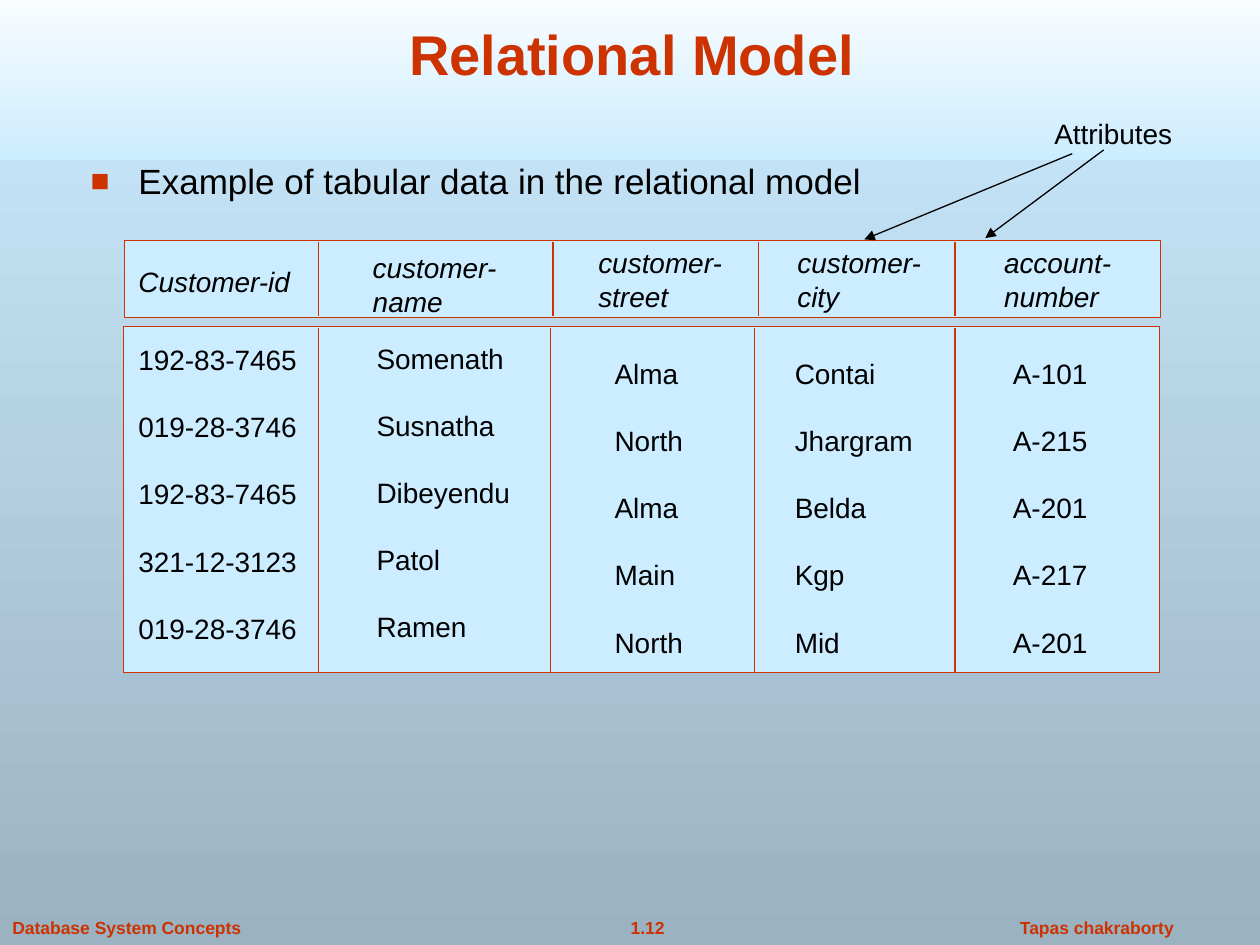
from dataclasses import dataclass

from lxml import etree
from pptx import Presentation
from pptx.dml.color import RGBColor
from pptx.enum import shapes, text
from pptx.oxml import ns
from pptx.util import Inches, Pt


@dataclass(frozen=True)
class Theme:
    font: str = "Arial"
    accent: str = "CC3300"
    ink: str = "000000"
    white: str = "FFFFFF"
    pale: str = "CCECFF"
    slate: str = "9AB2C1"
    title: float = 32
    body: float = 20
    cell: float = 16
    footer: float = 10
    stroke: float = 0.75
    row_gap: float = 19.2


@dataclass(frozen=True)
class Box:
    left: float
    top: float
    width: float
    height: float

    def inches(self):
        return [Inches(v) for v in (self.left, self.top, self.width, self.height)]


@dataclass(frozen=True)
class Column:
    heading: list[str]
    heading_box: Box
    values: list[str]
    values_box: Box


@dataclass(frozen=True)
class Line:
    start: tuple[float, float]
    end: tuple[float, float]


THEME = Theme()
HEADER = Box(0.99, 1.91, 8.22, 0.61)
ROWS = Box(0.98, 2.59, 8.22, 2.75)
HEADER_DIVIDERS = (2.53, 4.39, 6.02, 7.58)
ROW_DIVIDERS = (2.53, 4.37, 5.99, 7.58)

COLUMNS = [
    Column(["Customer-id"], Box(1, 2.05, 1.41, 0.37),
           ["192-83-7465", "019-28-3746", "192-83-7465", "321-12-3123", "019-28-3746"],
           Box(1, 2.67, 1.48, 2.5)),
    Column(["customer-", "name"], Box(2.86, 1.94, 1.18, 0.64),
           ["Somenath", "Susnatha", "Dibeyendu", "Patol", "Ramen"],
           Box(2.89, 2.66, 1.28, 2.5)),
    Column(["customer-", "street"], Box(4.65, 1.9, 1.18, 0.64),
           ["Alma", "North", "Alma", "Main", "North"],
           Box(4.78, 2.78, 0.76, 2.5)),
    Column(["customer-", "city"], Box(6.23, 1.9, 1.18, 0.64),
           ["Contai", "Jhargram", "Belda", "Kgp", "Mid"],
           Box(6.21, 2.78, 1.16, 2.5)),
    Column(["account-", "number"], Box(7.87, 1.9, 1.05, 0.64),
           ["A-101", "A-215", "A-201", "A-217", "A-201"],
           Box(7.94, 2.78, 0.81, 2.5)),
]

FOOTERS = [
    ("Database System Concepts", Box(0, 7.23, 2.04, 0.27), text.PP_ALIGN.LEFT),
    ("1.12", Box(4.65, 7.23, 0.98, 0.27), text.PP_ALIGN.CENTER),
    ("Tapas chakraborty", Box(7.99, 7.23, 1.43, 0.27), text.PP_ALIGN.CENTER),
]

ATTRIBUTE_ARROWS = [
    Line((8.76, 1.19), (7.82, 1.89)),
    Line((8.51, 1.22), (6.86, 1.9)),
]


def rgb(value: str) -> RGBColor:
    return RGBColor.from_string(value)


def fade_down(fill, top: str, bottom: str) -> None:
    fill.gradient()
    fill.gradient_angle = 270
    for stop, color in zip(fill.gradient_stops, (top, bottom)):
        stop.color.rgb = rgb(color)


def add_text(slide, lines: list[str], box: Box, *, size: float = THEME.cell,
             color: str = THEME.ink, bold: bool = False, italic: bool = False,
             align=text.PP_ALIGN.LEFT, anchor=text.MSO_ANCHOR.TOP,
             wrap: bool = False, grow: bool = True,
             first_gap: float = 0, gap: float = 0):
    """Add one paragraph per line; gap is the space in points between them."""
    frame = slide.shapes.add_textbox(*box.inches()).text_frame
    frame.word_wrap = wrap
    frame.vertical_anchor = anchor
    frame.auto_size = (text.MSO_AUTO_SIZE.SHAPE_TO_FIT_TEXT if grow
                       else text.MSO_AUTO_SIZE.NONE)
    for index, line in enumerate(lines):
        paragraph = frame.add_paragraph() if index else frame.paragraphs[0]
        paragraph.alignment = align
        paragraph.space_before = Pt(gap if index else first_gap)
        run = paragraph.add_run()
        run.text = line
        font = run.font
        font.name, font.size = THEME.font, Pt(size)
        font.bold, font.italic = bold, italic
        font.color.rgb = rgb(color)
    return frame


def add_bullet(paragraph, indent: float) -> None:
    properties = paragraph._p.get_or_add_pPr()
    properties.set("marL", str(Inches(indent)))
    properties.set("indent", str(Inches(-indent)))
    color = etree.SubElement(properties, ns.qn("a:buClr"))
    etree.SubElement(color, ns.qn("a:srgbClr"), val=THEME.accent)
    etree.SubElement(properties, ns.qn("a:buSzPct"), val="90000")
    etree.SubElement(properties, ns.qn("a:buFont"), typeface=THEME.font)
    etree.SubElement(properties, ns.qn("a:buChar"), char="■")


def add_panel(slide, box: Box):
    panel = slide.shapes.add_shape(shapes.MSO_SHAPE.RECTANGLE, *box.inches())
    panel.shadow.inherit = False
    panel.fill.solid()
    panel.fill.fore_color.rgb = rgb(THEME.pale)
    panel.line.color.rgb = rgb(THEME.accent)
    panel.line.width = Pt(THEME.stroke)
    return panel


def add_line(slide, line: Line, color: str, arrow: bool = False) -> None:
    ends = [Inches(v) for v in (*line.start, *line.end)]
    connector = slide.shapes.add_connector(shapes.MSO_CONNECTOR.STRAIGHT, *ends)
    connector.line.color.rgb = rgb(color)
    connector.line.width = Pt(THEME.stroke)
    if arrow:
        etree.SubElement(connector.line._get_or_add_ln(), ns.qn("a:tailEnd"), type="triangle")
    etree.SubElement(connector._element.spPr, ns.qn("a:effectLst"))


def add_dividers(slide, box: Box, positions: tuple[float, ...]) -> None:
    for x in positions:
        add_line(slide, Line((x, box.top + 0.01), (x, box.top + box.height - 0.01)),
                 THEME.accent)


def add_backdrop(slide) -> None:
    fade_down(slide.background.fill, THEME.pale, THEME.slate)
    band = add_panel(slide, Box(0, -0.17, 10, 1.44))
    fade_down(band.fill, THEME.white, THEME.pale)
    band.line.fill.background()
    for label, box, align in FOOTERS:
        add_text(slide, [label], box, size=THEME.footer, color=THEME.accent,
                 bold=True, align=align, first_gap=6.2)


def add_relation(slide) -> None:
    for box, positions in ((HEADER, HEADER_DIVIDERS), (ROWS, ROW_DIVIDERS)):
        add_panel(slide, box)
        add_dividers(slide, box, positions)
    for column in COLUMNS:
        add_text(slide, column.heading, column.heading_box, italic=True)
        add_text(slide, column.values, column.values_box, gap=THEME.row_gap)


def main() -> None:
    deck = Presentation()
    deck.slide_width, deck.slide_height = Inches(10), Inches(7.5)
    slide = deck.slides.add_slide(deck.slide_layouts[6])

    add_backdrop(slide)
    add_text(slide, ["Relational Model"], Box(0.6, 0.07, 8.83, 0.67),
             size=THEME.title, color=THEME.accent, bold=True, wrap=True, grow=False,
             align=text.PP_ALIGN.CENTER, anchor=text.MSO_ANCHOR.BOTTOM)
    example = add_text(slide, ["Example of tabular data in the relational model"],
                       Box(0.62, 1.22, 8.58, 0.74), size=THEME.body,
                       wrap=True, grow=False, first_gap=8.8)
    add_bullet(example.paragraphs[0], 0.38)
    add_relation(slide)
    add_text(slide, ["Attributes"], Box(8.27, 0.88, 1.16, 0.37))
    for arrow in ATTRIBUTE_ARROWS:
        add_line(slide, arrow, THEME.ink, arrow=True)

    deck.save("out.pptx")


if __name__ == "__main__":
    main()
